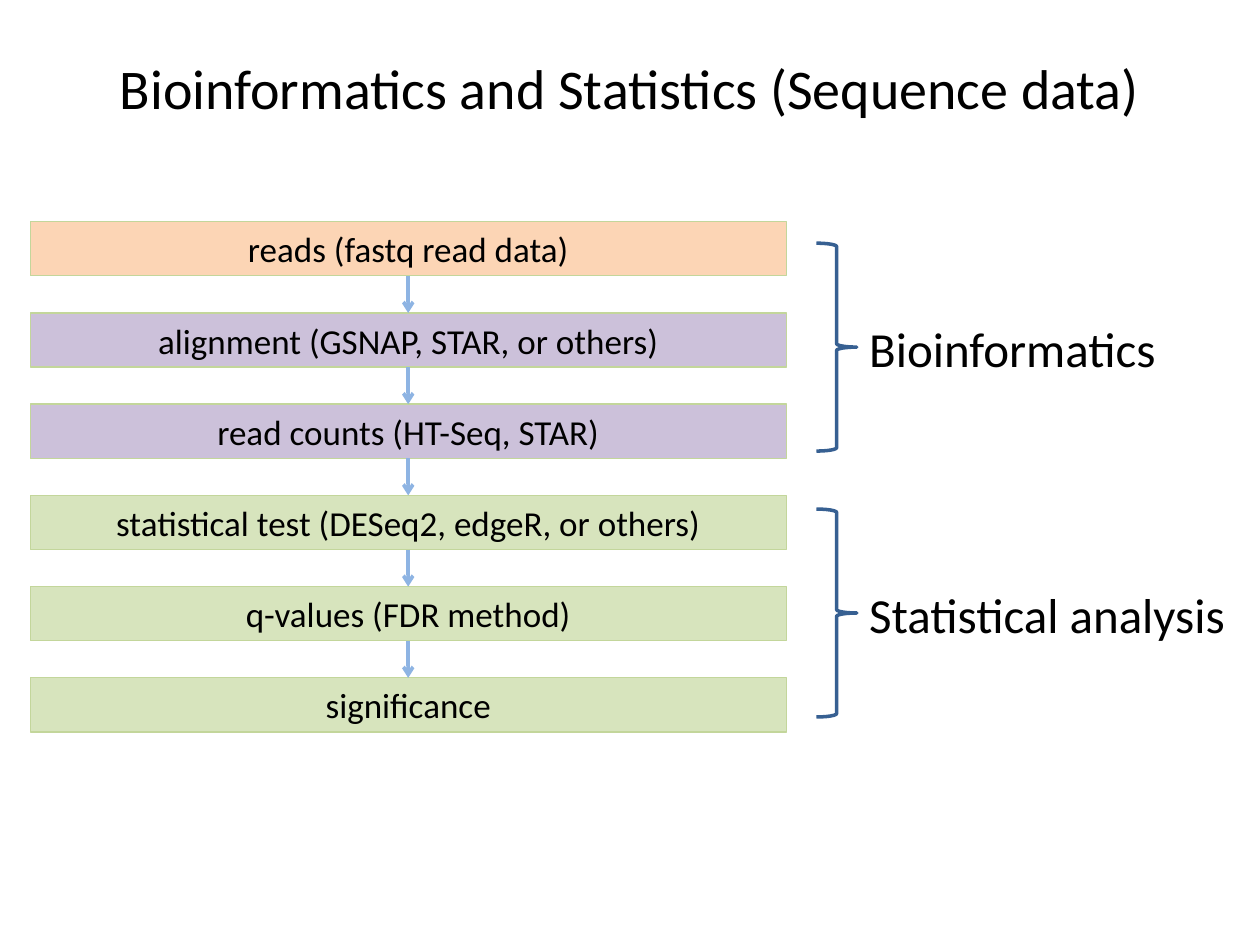
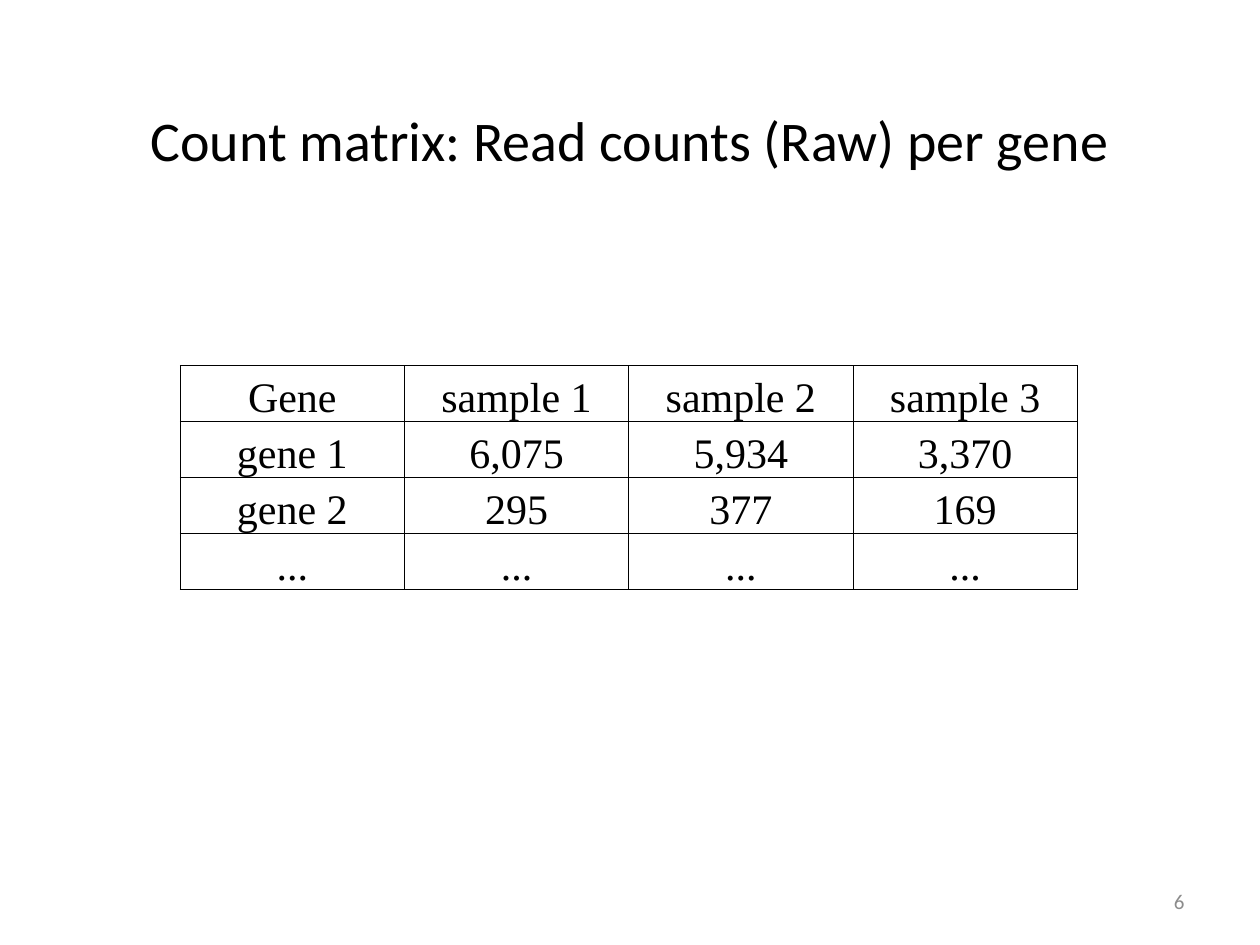
"""Build two slides on read processing and the count matrix."""
from lxml.etree import SubElement as Sub
from pptx import Presentation as Deck
from pptx.dml.color import RGBColor as Rgb
from pptx.enum.shapes import MSO_CONNECTOR as Link, MSO_SHAPE as Kind
from pptx.enum.text import MSO_ANCHOR as Anchor, MSO_AUTO_SIZE as Auto, PP_ALIGN as Align
from pptx.oxml import parse_xml
from pptx.oxml.ns import nsdecls, qn
from pptx.util import Inches, Pt

BLACK, GREY = "000000", "8C8C8C"
PEACH, LILAC, GREEN = "FCD5B5", "CCC1DA", "D7E4BD"
EDGE, SKY, NAVY = "C3D69B", "8EB4E3", "376092"
SANS, SERIF = "Calibri", "Times New Roman"


def tint(code):
    return Rgb.from_string(code)


class Board:
    """Holds the deck, its style and the current slide."""

    def __init__(self):
        self.deck = Deck()
        self.deck.slide_width, self.deck.slide_height = Inches(10), Inches(7.5)

    def start(self):
        self.slide = self.deck.slides.add_slide(self.deck.slide_layouts[6])

    def label(self, frame, text, size, align=Align.LEFT, face=SANS, color=BLACK):
        line = frame.paragraphs[0]
        line.alignment = align
        run = line.add_run()
        run.text = text
        font = run.font
        font.size, font.name = Pt(size), face
        font.color.rgb = tint(color)

    def text(self, place, text, size, align=Align.LEFT, color=BLACK, wrap=True):
        frame = self.slide.shapes.add_textbox(*map(Inches, place)).text_frame
        frame.word_wrap = wrap
        if wrap:
            frame.vertical_anchor = Anchor.MIDDLE
        else:
            frame.auto_size = Auto.SHAPE_TO_FIT_TEXT
        self.label(frame, text, size, align, color=color)

    def title(self, text, top, height):
        self.text((0.5, top, 9, height), text, 32, Align.CENTER)

    def shape(self, kind, place, edge, width, fill=None):
        item = self.slide.shapes.add_shape(kind, *map(Inches, place))
        item.shadow.inherit = False
        item.line.color.rgb, item.line.width = tint(edge), Pt(width)
        if fill:
            item.fill.solid()
            item.fill.fore_color.rgb = tint(fill)
        else:
            item.fill.background()
        return item

    def step(self, place, text, fill):
        frame = self.shape(Kind.RECTANGLE, place, EDGE, 0.75, fill).text_frame
        frame.margin_left = frame.margin_right = 0
        frame.margin_top = frame.margin_bottom = 0
        frame.vertical_anchor = Anchor.MIDDLE
        self.label(frame, text, 20, Align.CENTER)

    def arrow(self, x, top, end):
        ends = map(Inches, (x, top, x, end))
        item = self.slide.shapes.add_connector(Link.STRAIGHT, *ends)
        item.line.color.rgb, item.line.width = tint(SKY), Pt(2)
        Sub(item.line._ln, qn("a:tailEnd"), type="arrow")
        Sub(item._element.spPr, qn("a:effectLst"))

    def brace(self, top, text, width):
        self.shape(Kind.RIGHT_BRACE, (6.48, top, 0.32, 1.65), NAVY, 2)
        self.text((6.8, top + 0.55, width, 0.57), text, 28, wrap=False)

    def border(self, cell):
        """Draw a thin black border on each side of a cell."""
        props = cell._tc.get_or_add_tcPr()
        for spot, side in enumerate("LRTB"):
            props.insert(spot, parse_xml(
                f'<a:ln{side} {nsdecls("a")} w="6350"><a:solidFill>'
                f'<a:srgbClr val="{BLACK}"/></a:solidFill></a:ln{side}>'))

    def table(self, left, top, wide, high, rows):
        count, cols = len(rows), len(rows[0])
        place = map(Inches, (left, top, wide * cols, high * count))
        table = self.slide.shapes.add_table(count, cols, *place).table
        table.first_row = table.horz_banding = False
        for row, words in zip(table.rows, rows):
            for cell, word in zip(row.cells, words):
                cell.margin_left = cell.margin_right = cell.margin_top = Inches(0.01)
                cell.margin_bottom = 0
                cell.vertical_anchor = Anchor.BOTTOM
                cell.fill.background()
                self.border(cell)
                self.label(cell.text_frame, word, 24, Align.CENTER, SERIF)


def draw_steps(board):
    board.start()
    steps = [
        ("reads (fastq read data)", PEACH),
        ("alignment (GSNAP, STAR, or others)", LILAC),
        ("read counts (HT-Seq, STAR)", LILAC),
        ("statistical test (DESeq2, edgeR, or others)", GREEN),
        ("q-values (FDR method)", GREEN),
        ("significance", GREEN),
    ]
    left, first, last, wide, high = 0.24, 1.76, 5.38, 6, 0.43
    pitch = (last - first) / (len(steps) - 1)
    tops = [first + pitch * n for n in range(len(steps))]
    for top, (text, fill) in zip(tops, steps):
        board.step((left, top, wide, high), text, fill)
    for top, end in zip(tops, tops[1:]):
        board.arrow(left + wide / 2, top + high, end)
    board.brace(1.93, "Bioinformatics", 2.51)
    board.brace(4.04, "Statistical analysis", 3.07)
    board.title("Bioinformatics and Statistics (Sequence data)", 0.3, 0.78)


def draw_counts(board):
    board.start()
    rows = [
        ("Gene", "sample 1", "sample 2", "sample 3"),
        ("gene 1", "6,075", "5,934", "3,370"),
        ("gene 2", "295", "377", "169"),
        ("...",) * 4,
    ]
    left, wide, high = 1.43, 1.78, 1.78 / len(rows)
    for col in (0, 2):
        half = [row[col:col + 2] for row in rows]
        board.table(left + wide * col, 2.9, wide, high, half)
    board.title("Count matrix: Read counts (Raw) per gene", 0.48, 1.25)
    board.text((7.17, 6.95, 2.33, 0.4), "6", 12, Align.RIGHT, GREY)


def main():
    board = Board()
    draw_steps(board)
    draw_counts(board)
    board.deck.save("out.pptx")


if __name__ == "__main__":
    main()
